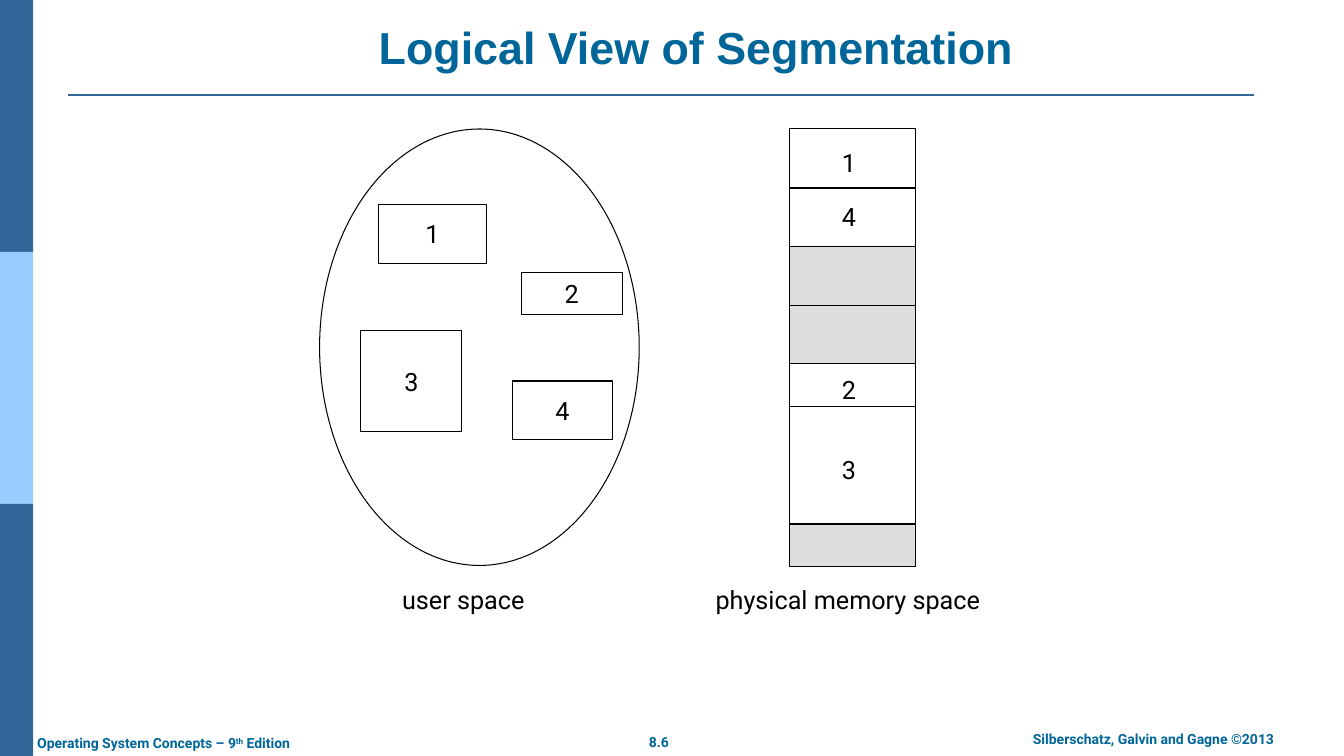
"""Build the slide on the logical view of segmentation."""
from lxml import etree
from pptx import Presentation
from pptx.dml.color import RGBColor
from pptx.enum.shapes import MSO_CONNECTOR, MSO_SHAPE
from pptx.enum.text import MSO_ANCHOR, PP_ALIGN
from pptx.oxml.ns import qn
from pptx.util import Inches, Pt

NAVY = RGBColor(0x33, 0x66, 0x99)
SKY = RGBColor(0x99, 0xCC, 0xFF)
TEAL = RGBColor(0x00, 0x66, 0x99)
GRAY = RGBColor(0xDD, 0xDD, 0xDD)
BLACK = RGBColor(0, 0, 0)
WHITE = RGBColor(0xFF, 0xFF, 0xFF)
RECTANGLE, OVAL = MSO_SHAPE.RECTANGLE, MSO_SHAPE.OVAL
STRAIGHT = MSO_CONNECTOR.STRAIGHT
LEFT, CENTER = PP_ALIGN.LEFT, PP_ALIGN.CENTER
TOP, MIDDLE, BOTTOM = MSO_ANCHOR.TOP, MSO_ANCHOR.MIDDLE, MSO_ANCHOR.BOTTOM
LEFT_SIDE, RIGHT_SIDE = 1, 3

MEMORY_LEFT, MEMORY_WIDTH = 7.83, 1.25
SEGMENTS = [
    ("1", 3.75, 2.03, 1.08, 0.58),
    ("3", 3.58, 3.28, 1, 1),
    ("2", 5.17, 2.7, 1, 0.42),
    ("4", 5.08, 3.78, 1, 0.58),
]
MEMORY_BLOCKS = [
    (1.28, 1.17, WHITE),
    (2.45, 1.17, GRAY),
    (3.61, 1.58, WHITE),
    (5.2, 0.42, GRAY),
]
MEMORY_LABELS = [("1", 1.41), ("4", 1.95), ("2", 3.66), ("3", 4.46)]


def write_text(shape, spans, size, color, font="Roboto", bold=False,
               align=CENTER, anchor=MIDDLE, wrap=False):
    """Fill a shape with one paragraph of spans and return the spans."""
    frame = shape.text_frame
    frame.word_wrap = wrap
    frame.vertical_anchor = anchor
    para = frame.paragraphs[0]
    para.alignment = align
    para.font.name = font
    para.font.size = Pt(size)
    para.font.bold = bold
    para.font.color.rgb = color
    runs = []
    for text in spans:
        span = para.add_run()
        span.text = text
        runs.append(span)
    return runs


def add_text(page, spans, left, top, width, height, size, color, **style):
    """Add a text box and return its spans."""
    box = page.shapes.add_textbox(Inches(left), Inches(top),
                                  Inches(width), Inches(height))
    return write_text(box, spans, size, color, **style)


def add_block(page, kind, left, top, width, height, fill, outlined=True):
    """Add a filled shape, outlined in black on request."""
    block = page.shapes.add_shape(kind, Inches(left), Inches(top),
                                  Inches(width), Inches(height))
    block.shadow.inherit = False
    block.fill.solid()
    block.fill.fore_color.rgb = fill
    if outlined:
        block.line.color.rgb = BLACK
        block.line.width = Pt(0.75)
    else:
        block.line.fill.background()
    return block


def add_rule(page, left, right, y, color, weight):
    """Add a horizontal line."""
    rule = page.shapes.add_connector(STRAIGHT, Inches(left), Inches(y),
                                     Inches(right), Inches(y))
    rule.line.color.rgb = color
    rule.line.width = Pt(weight)
    etree.SubElement(rule._element.spPr, qn("a:effectLst"))
    return rule


def add_frame(page):
    """Draw the side band, the title rule and the footers."""
    for index, color in enumerate((NAVY, SKY, NAVY)):
        add_block(page, RECTANGLE, 0, 2.5 * index, 0.33, 2.5, color, outlined=False)
    add_rule(page, 0.67, 12.44, 0.94, NAVY, 1.5)
    footer = dict(size=10, color=TEAL, bold=True, anchor=TOP)
    add_text(page, ["8.6"], 6.29, 7.23, 0.49, 0.27, **footer)
    add_text(page, ["Silberschatz, Galvin and Gagne ©2013"],
             9.46, 7.2, 3.96, 0.27, wrap=True, **footer)
    spans = add_text(page, ["Operating System Concepts – 9", "th", " Edition"],
                     0.27, 7.24, 2.91, 0.27, align=LEFT, **footer)
    spans[1]._r.get_or_add_rPr().set("baseline", "30000")


def add_user_space(page):
    """Draw the ellipse with its numbered segments."""
    add_block(page, OVAL, 3.17, 1.28, 3.17, 4.33, WHITE)
    for number, left, top, width, height in SEGMENTS:
        segment = add_block(page, RECTANGLE, left, top, width, height, WHITE)
        write_text(segment, [number], 18, BLACK)
    add_text(page, ["user space"], 3.87, 5.75, 1.45, 0.4, 18, BLACK)


def add_physical_memory(page):
    """Draw the memory column with its dividers and labels."""
    right = MEMORY_LEFT + MEMORY_WIDTH
    blocks = [add_block(page, RECTANGLE, MEMORY_LEFT, top, MEMORY_WIDTH, height, fill)
              for top, height, fill in MEMORY_BLOCKS]
    for block, y in zip(blocks, (1.86, 3.03)):
        divider = add_rule(page, MEMORY_LEFT, right, y, BLACK, 0.75)
        divider.begin_connect(block, LEFT_SIDE)
        divider.end_connect(block, RIGHT_SIDE)
    add_rule(page, MEMORY_LEFT, right, 4.03, BLACK, 0.75)
    for number, top in MEMORY_LABELS:
        add_text(page, [number], 8.25, top, 0.34, 0.4, 18, BLACK)
    add_text(page, ["physical memory space"], 6.99, 5.75, 2.84, 0.4, 18, BLACK)


def main():
    """Build and save the deck."""
    deck = Presentation()
    deck.slide_width, deck.slide_height = Inches(13.33), Inches(7.5)
    page = deck.slides.add_slide(deck.slide_layouts[6])
    add_frame(page)
    add_text(page, ["Logical View of Segmentation"], 2.64, 0.15, 8.53, 0.63,
             32, TEAL, font="Arial", bold=True, anchor=BOTTOM, wrap=True)
    add_user_space(page)
    add_physical_memory(page)
    deck.save("out.pptx")


if __name__ == "__main__":
    main()
